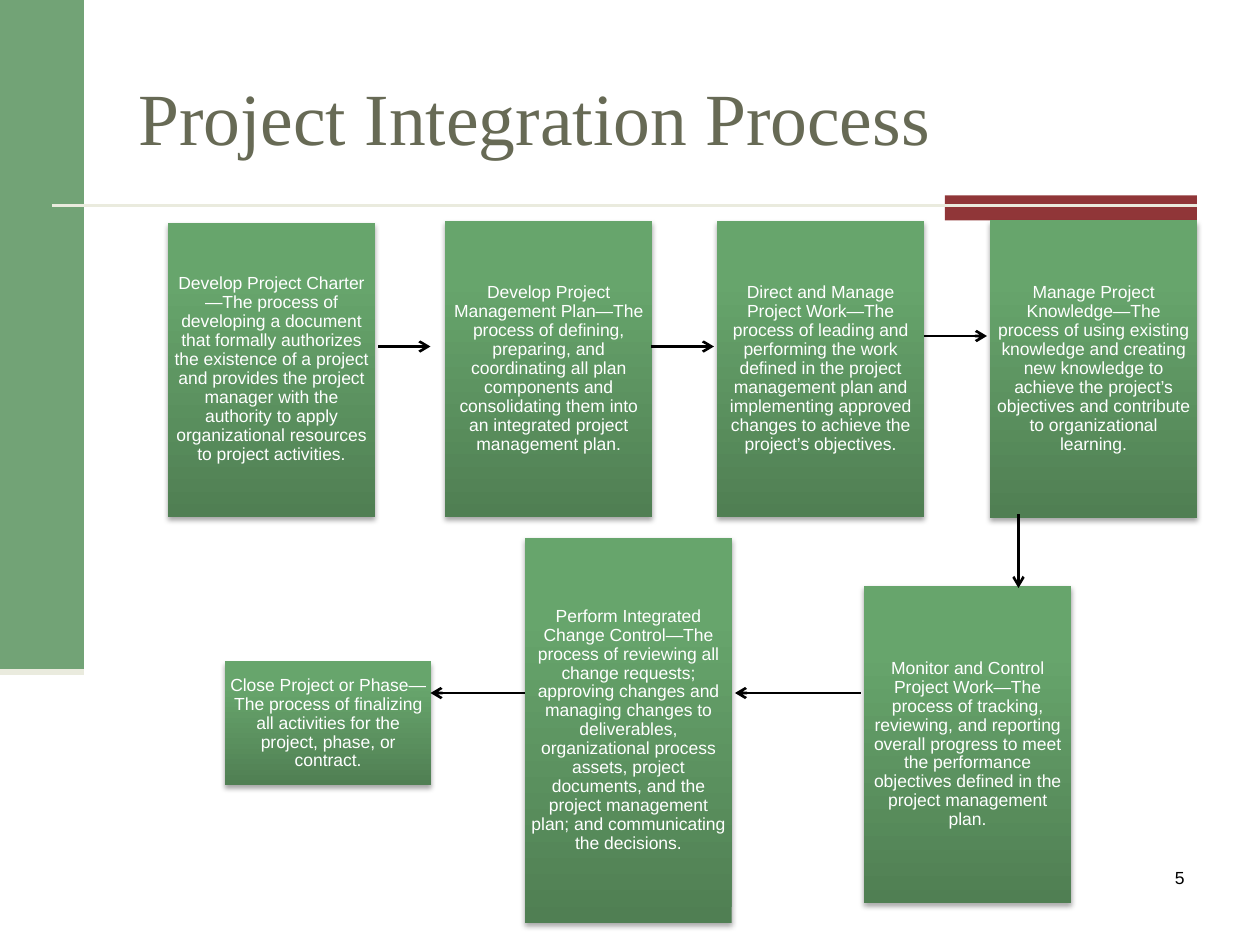
"""Build the Project Integration Process slide on a grid of 120 columns by 90 rows."""
from dataclasses import dataclass

from lxml import etree
from pptx import Presentation, util as u
from pptx.dml.color import RGBColor
from pptx.enum import shapes, text
from pptx.oxml import parse_xml
from pptx.oxml.ns import nsdecls, qn

CELL = u.Inches(10) / 120
STEP_WIDTH = 19.7


@dataclass(frozen=True)
class Theme:
    sidebar: str = "72A376"
    accent: str = "903638"
    rule: str = "EAEBDE"
    title: str = "676A55"
    ink: str = "000000"
    step_ink: str = "FFFFFF"
    step_stops: tuple = ((0, "507F53"), (80, "67A56C"), (100, "67A76C"))
    title_font: str = "Times New Roman"
    body_font: str = "Arial"
    title_size: float = 42
    body_size: float = 10
    thin: float = 1.5
    thick: float = 3.5


@dataclass(frozen=True)
class Step:
    column: float
    row: float
    rows: float
    wording: str


@dataclass(frozen=True)
class Line:
    start: tuple
    end: tuple
    color: str
    width: float
    arrow: bool = False


THEME = Theme()

STEPS = (
    Step(16, 21.2, 28, "Develop Project Charter—The process of developing a document that "
         "formally authorizes the existence of a project and provides the project manager "
         "with the authority to apply organizational resources to project activities."),
    Step(42.4, 21, 28.2, "Develop Project Management Plan—The process of deﬁning, preparing, "
         "and coordinating all plan components and consolidating them into an integrated "
         "project management plan."),
    Step(68.3, 21, 28.2, "Direct and Manage Project Work—The process of leading and performing "
         "the work deﬁned in the project management plan and implementing approved changes "
         "to achieve the project’s objectives."),
    Step(94.3, 21, 28.3, "Manage Project Knowledge—The process of using existing knowledge and "
         "creating new knowledge to achieve the project’s objectives and contribute to "
         "organizational learning."),
    Step(82.3, 55.8, 30.2, "Monitor and Control Project Work—The process of tracking, "
         "reviewing, and reporting overall progress to meet the performance objectives "
         "deﬁned in the project management plan."),
    Step(50, 51.2, 36.7, "Perform Integrated Change Control—The process of reviewing all change "
         "requests; approving changes and managing changes to deliverables, organizational "
         "process assets, project documents, and the project management plan; and "
         "communicating the decisions."),
    Step(21.4, 63, 11.8, "Close Project or Phase—The process of ﬁnalizing all activities for "
         "the project, phase, or contract."),
)

RULES = (
    Line((5, 19.6), (114, 19.6), THEME.rule, THEME.thin),
    Line((0, 64), (8, 64), THEME.rule, THEME.thick),
)

ARROWS = tuple(
    Line(start, end, THEME.ink, THEME.thin, True)
    for start, end in (
        ((36, 33), (41, 33)),
        ((62, 33), (68, 33)),
        ((88, 32), (94, 32)),
        ((97, 49), (97, 56)),
        ((82, 66), (70, 66)),
        ((50, 66), (41, 66)),
    )
)


def grid(*cells: float) -> list:
    """Turn grid counts into lengths."""
    return [u.Emu(round(cell * CELL)) for cell in cells]


def add_block(slide, area: tuple, color: str):
    """Add a plain filled rectangle."""
    shape = slide.shapes.add_shape(shapes.MSO_SHAPE.RECTANGLE, *grid(*area))
    shape.shadow.inherit = False
    shape.fill.solid()
    shape.fill.fore_color.rgb = RGBColor.from_string(color)
    shape.line.fill.background()
    return shape


def write(frame, wording: str, font: str, size: float, color: str, align, anchor):
    """Fill a text frame with one paragraph and return the paragraph."""
    frame.word_wrap = True
    frame.vertical_anchor = anchor
    paragraph = frame.paragraphs[0]
    paragraph.text = wording
    paragraph.alignment = align
    paragraph.font.name = font
    paragraph.font.size = u.Pt(size)
    paragraph.font.color.rgb = RGBColor.from_string(color)
    return paragraph


def add_step(slide, step: Step) -> None:
    """Add a process step with its gradient, soft shadow and wording."""
    area = (step.column, step.row, STEP_WIDTH, step.rows)
    shape = add_block(slide, area, THEME.step_stops[0][1])
    properties = shape._element.spPr
    stops = "".join(
        f'<a:gs pos="{share * 1000}"><a:srgbClr val="{color}"/></a:gs>'
        for share, color in THEME.step_stops
    )
    gradient = parse_xml(
        f'<a:gradFill {nsdecls("a")} rotWithShape="1"><a:gsLst>{stops}</a:gsLst>'
        '<a:lin ang="16200000" scaled="0"/></a:gradFill>'
    )
    properties.replace(properties.find(qn("a:solidFill")), gradient)
    shadow = parse_xml(
        f'<a:outerShdw {nsdecls("a")} blurRad="{u.Pt(3.1)}" dist="{u.Pt(1.8)}" '
        'dir="5400000" rotWithShape="0"><a:srgbClr val="000000">'
        '<a:alpha val="35000"/></a:srgbClr></a:outerShdw>'
    )
    properties.find(qn("a:effectLst")).append(shadow)
    frame = shape.text_frame
    frame.margin_left = frame.margin_right = u.Inches(0.04)
    frame.margin_top = frame.margin_bottom = u.Inches(0.04)
    paragraph = write(frame, step.wording, THEME.body_font, THEME.body_size, THEME.step_ink,
                      text.PP_ALIGN.CENTER, text.MSO_ANCHOR.MIDDLE)
    paragraph.line_spacing = 0.9


def add_line(slide, line: Line) -> None:
    """Add a straight line, with an arrowhead where asked."""
    connector = slide.shapes.add_connector(
        shapes.MSO_CONNECTOR.STRAIGHT, *grid(*line.start, *line.end))
    connector.line.color.rgb = RGBColor.from_string(line.color)
    connector.line.width = u.Pt(line.width)
    if line.arrow:
        etree.SubElement(connector.line._get_or_add_ln(), qn("a:tailEnd"), type="arrow")
    etree.SubElement(connector._element.spPr, qn("a:effectLst"))


def main() -> None:
    """Build and save the slide."""
    presentation = Presentation()
    presentation.slide_width, presentation.slide_height = grid(120, 90)
    slide = presentation.slides.add_slide(presentation.slide_layouts[6])
    add_block(slide, (0, 0, 8, 64), THEME.sidebar)
    add_block(slide, (90, 18.6, 24, 2.4), THEME.accent)
    for rule in RULES:
        add_line(slide, rule)
    title = slide.shapes.add_textbox(*grid(12, 3.6, 102, 15))
    write(title.text_frame, "Project Integration Process", THEME.title_font, THEME.title_size,
          THEME.title, text.PP_ALIGN.LEFT, text.MSO_ANCHOR.MIDDLE)
    number = slide.shapes.add_textbox(*grid(89, 82, 25, 6))
    write(number.text_frame, "5", THEME.body_font, THEME.body_size, THEME.ink,
          text.PP_ALIGN.RIGHT, text.MSO_ANCHOR.TOP)
    for step in STEPS:
        add_step(slide, step)
    for arrow in ARROWS:
        add_line(slide, arrow)
    presentation.save("out.pptx")


if __name__ == "__main__":
    main()
